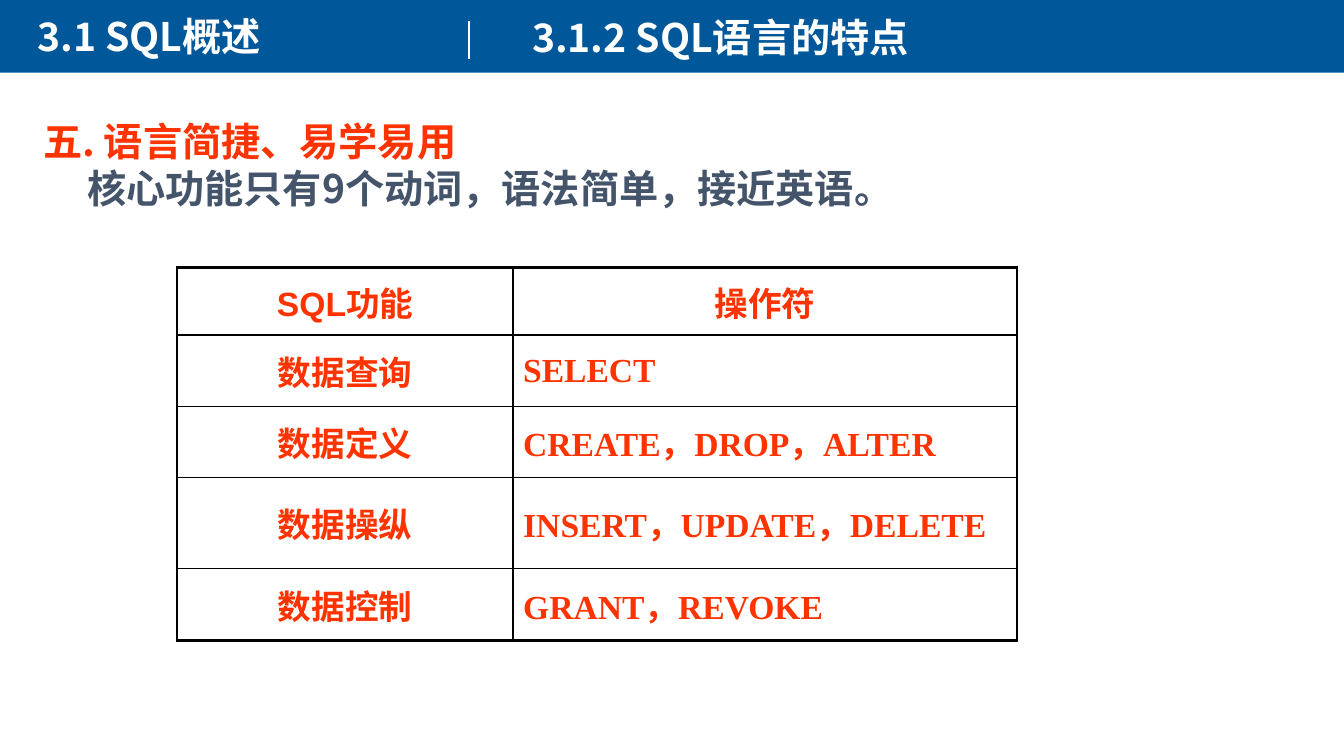
"""Build the slide on SQL being concise and easy to learn."""
from lxml import etree
from pptx import Presentation
from pptx.dml.color import RGBColor
from pptx.enum.shapes import MSO_CONNECTOR, MSO_SHAPE
from pptx.enum.text import MSO_ANCHOR, MSO_AUTO_SIZE, PP_ALIGN
from pptx.oxml.ns import qn
from pptx.util import Pt

RECTANGLE = MSO_SHAPE.RECTANGLE
STRAIGHT = MSO_CONNECTOR.STRAIGHT
MIDDLE = MSO_ANCHOR.MIDDLE
GROW = MSO_AUTO_SIZE.SHAPE_TO_FIT_TEXT
CENTER, LEFT = PP_ALIGN.CENTER, PP_ALIGN.LEFT

BLUE = RGBColor(0x00, 0x58, 0x9A)
WHITE = RGBColor(0xFF, 0xFF, 0xFF)
RED = RGBColor(0xFF, 0x33, 0x00)
SLATE = RGBColor(0x44, 0x54, 0x6A)
BLACK = RGBColor(0x00, 0x00, 0x00)
CJK_FONT = "Noto Sans CJK SC"


def write(paragraph, text, size, color, latin_font=CJK_FONT):
    paragraph.text = text
    font = paragraph.font
    font.size, font.bold, font.name = Pt(size), True, latin_font
    font.color.rgb = color
    defaults = paragraph._p.pPr.find(qn("a:defRPr"))
    etree.SubElement(defaults, qn("a:ea"), typeface=CJK_FONT)


def add_text_frame(left, top, width, height):
    frame = slide.shapes.add_textbox(Pt(left), Pt(top), Pt(width), Pt(height)).text_frame
    frame.word_wrap = True
    frame.auto_size = GROW
    return frame


prs = Presentation()
prs.slide_width, prs.slide_height = Pt(960), Pt(540)
slide = prs.slides.add_slide(prs.slide_layouts[6])

header_band = slide.shapes.add_shape(RECTANGLE, Pt(0), Pt(-1.5), Pt(960), Pt(53.5))
header_band.shadow.inherit = False
header_band.fill.solid()
header_band.fill.fore_color.rgb = BLUE
header_band.line.fill.background()

for heading, left, top, width in (
    ("3.1 SQL概述", 19.5, 5, 398),
    ("3.1.2 SQL语言的特点", 373, 5.8, 623),
):
    write(add_text_frame(left, top, width, 41).paragraphs[0], heading, 28, WHITE)

divider = slide.shapes.add_connector(STRAIGHT, Pt(335), Pt(15), Pt(335), Pt(42.5))
divider.line.color.rgb = WHITE
divider.line.width = Pt(1.5)
etree.SubElement(divider._element.spPr, qn("a:effectLst"))

feature = add_text_frame(23.8, 84.2, 678, 77.8)
feature_title = feature.paragraphs[0]
feature_detail = feature.add_paragraph()
feature_title.line_spacing = feature_detail.line_spacing = 0.9
feature_detail.space_before = Pt(3)
write(feature_title, "五. 语言简捷、易学易用", 28, RED)
write(feature_detail, "核心功能只有9个动词，语法简单，接近英语。", 28, SLATE)
feature_detail._p.pPr.set("marL", "0")
feature_detail._p.pPr.set("indent", str(Pt(31.5)))

VERBS = (
    ("SQL功能", "操作符"),
    ("数据查询", "SELECT"),
    ("数据定义", "CREATE，DROP，ALTER"),
    ("数据操纵", "INSERT，UPDATE，DELETE"),
    ("数据控制", "GRANT，REVOKE"),
)
ROW_HEIGHTS = (48, 51, 51, 65, 51)
COLUMN_WIDTHS = (240, 360)
verb_table = slide.shapes.add_table(
    len(VERBS), 2, Pt(126.5), Pt(191.3), Pt(sum(COLUMN_WIDTHS)), Pt(sum(ROW_HEIGHTS))
).table
verb_table.first_row = verb_table.horz_banding = False
for column, width in zip(verb_table.columns, COLUMN_WIDTHS):
    column.width = Pt(width)

last_row = len(VERBS) - 1
for row, (labels, height) in enumerate(zip(VERBS, ROW_HEIGHTS)):
    verb_table.rows[row].height = Pt(height)
    for col, label in enumerate(labels):
        cell = verb_table.cell(row, col)
        cell.vertical_anchor = MIDDLE
        cell.fill.background()
        is_verb = row > 0 and col == 1
        paragraph = cell.text_frame.paragraphs[0]
        paragraph.alignment = LEFT if is_verb else CENTER
        write(paragraph, label, 24, RED, "Times New Roman" if is_verb else "Arial")

        outer_edges = (col == 0, col == 1, row == 0, row == last_row)
        for index, (side, is_outer) in enumerate(zip("LRTB", outer_edges)):
            border = etree.Element(qn(f"a:ln{side}"), w=str(Pt(2.25 if is_outer else 1)))
            border_fill = etree.SubElement(border, qn("a:solidFill"))
            etree.SubElement(border_fill, qn("a:srgbClr"), val=str(BLACK))
            cell._tc.tcPr.insert(index, border)

prs.save("out.pptx")
